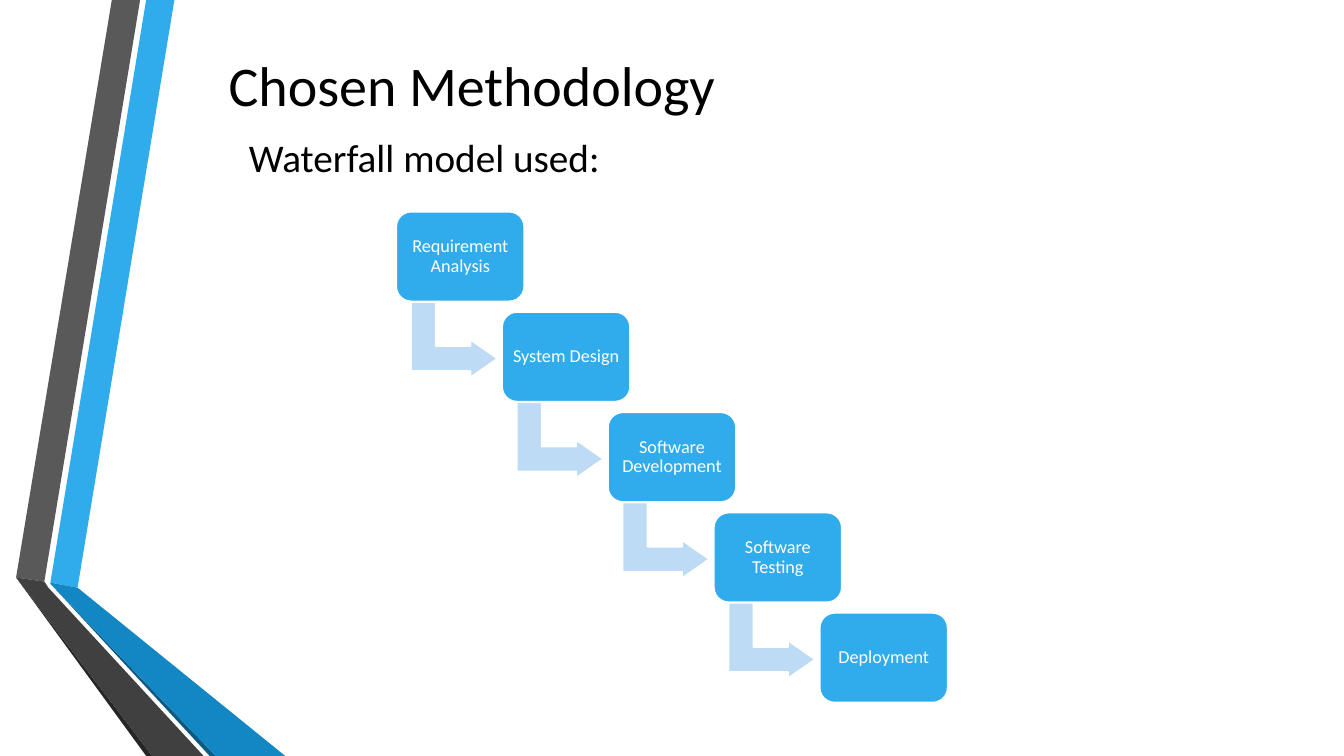
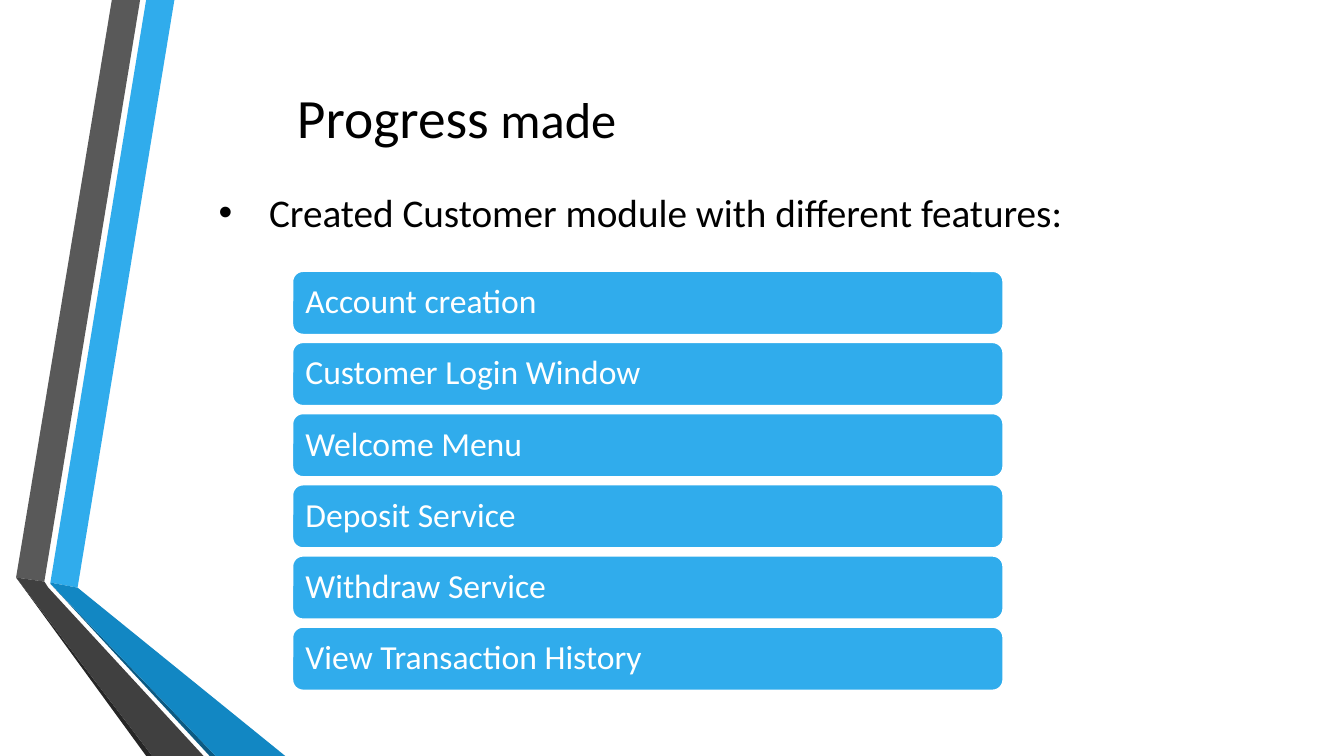
from lxml.etree import SubElement
from pptx import Presentation
from pptx.dml.color import RGBColor
from pptx.enum.shapes import MSO_SHAPE
from pptx.enum.text import MSO_ANCHOR, PP_ALIGN
from pptx.oxml.ns import qn
from pptx.util import Inches, Pt

FONT = "Calibri"
BLACK, WHITE = "000000", "FFFFFF"
BLUE, PALE_BLUE = "30ACEC", "BEDBF6"

# Folded ribbons on the left edge: colour and outline in inches
RIBBONS = [
    (BLUE, [(0.5, 5.78), (0.77, 5.83), (1.73, 0), (1.45, 0)]),
    ("595959", [(1.39, 0), (1.11, 0), (0.16, 5.73), (0.44, 5.77)]),
    ("262626", [(0.16, 5.73), (1.45, 7.5), (1.51, 7.5)]),
    ("0C5A82", [(0.5, 5.79), (2.08, 7.5), (2.14, 7.5)]),
    ("1287C3", [(0.5, 5.79), (2.14, 7.5), (2.83, 7.5), (0.77, 5.83), (0.5, 5.78)]),
    ("404040", [(2.02, 7.5), (0.48, 5.83), (0.44, 5.77), (0.16, 5.73), (1.51, 7.5)]),
]


def colour(hex_code):
    return RGBColor.from_string(hex_code)


def paint(shape, fill, outline=None):
    shape.shadow.inherit = False
    shape.fill.solid()
    shape.fill.fore_color.rgb = colour(fill)
    if outline:
        shape.line.color.rgb = colour(outline)
        shape.line.width = Pt(1.25)
    else:
        shape.line.fill.background()


def write(shape, *runs, size=28, ink=BLACK, align=PP_ALIGN.LEFT,
          anchor=MSO_ANCHOR.TOP, inset=None, spacing=None, bullet=None):
    """Fill a shape with one paragraph; a run is text or (text, size)."""
    frame = shape.text_frame
    frame.word_wrap = True
    frame.vertical_anchor = anchor
    if inset is not None:
        frame.margin_left = frame.margin_right = Inches(inset)
        frame.margin_top = frame.margin_bottom = Inches(inset)
    paragraph = frame.paragraphs[0]
    paragraph.alignment = align
    if spacing:
        paragraph.line_spacing = spacing
    if bullet:
        properties = paragraph._p.get_or_add_pPr()
        properties.set("marL", str(Inches(0.5)))
        properties.set("indent", str(-Inches(0.5)))
        SubElement(properties, qn("a:buFont")).set("typeface", "Arial")
        SubElement(properties, qn("a:buChar")).set("char", bullet)
    for item in runs:
        text, points = (item, size) if isinstance(item, str) else item
        run = paragraph.add_run()
        run.text = text
        run.font.name = FONT
        run.font.size = Pt(points)
        run.font.color.rgb = colour(ink)


def add_text(slide, box, *runs, **style):
    write(slide.shapes.add_textbox(*map(Inches, box)), *runs, **style)


def add_title(slide, box, *runs, **style):
    add_text(slide, box, *runs, align=PP_ALIGN.CENTER,
             anchor=MSO_ANCHOR.MIDDLE, **style)


def add_card(slide, box, label, **style):
    card = slide.shapes.add_shape(MSO_SHAPE.ROUNDED_RECTANGLE, *map(Inches, box))
    paint(card, BLUE, WHITE)
    write(card, label, ink=WHITE, anchor=MSO_ANCHOR.MIDDLE, spacing=0.9, **style)


def add_ribbons(slide):
    for fill, outline in RIBBONS:
        points = [(Inches(x), Inches(y)) for x, y in outline]
        builder = slide.shapes.build_freeform(*points[0])
        builder.add_line_segments(points[1:], close=True)
        paint(builder.convert_to_shape(), fill)


def add_waterfall(slide, box, steps):
    """Stairs of cards from the top left to the bottom right of the box."""
    left, top, width, height = box
    card_width, card_height = 1.27, 0.89
    across = (width - card_width) / (len(steps) - 1)
    down = (height - card_height) / (len(steps) - 1)
    for index, step in enumerate(steps):
        x, y = left + index * across, top + index * down
        if index < len(steps) - 1:
            arrow = slide.shapes.add_shape(
                MSO_SHAPE.BENT_UP_ARROW, Inches(x + 0.2), Inches(y + 0.84),
                Inches(0.75), Inches(0.86))
            arrow.rotation = 90
            for position, value in enumerate((0.33, 0.25, 0.36)):
                arrow.adjustments[position] = value
            paint(arrow, PALE_BLUE, WHITE)
        add_card(slide, (x, y, card_width, card_height), step,
                 size=13, align=PP_ALIGN.CENTER, inset=0.04)


def add_feature_bars(slide, box, features):
    """Equal bars spread over the height of the box."""
    left, top, width, height = box
    bar_height = 0.63
    pitch = (height - bar_height) / (len(features) - 1)
    for index, feature in enumerate(features):
        add_card(slide, (left, top + index * pitch, width, bar_height),
                 feature, size=24, inset=0.1)


def new_slide(deck):
    slide = deck.slides.add_slide(deck.slide_layouts[6])
    add_ribbons(slide)
    return slide


def methodology_slide(deck):
    slide = new_slide(deck)
    add_title(slide, (1.08, 0.17, 7.2, 1.33), "Chosen Methodology", size=40)
    add_waterfall(slide, (3.93, 2.1, 5.47, 4.87), [
        "Requirement Analysis", "System Design", "Software Development",
        "Software Testing", "Deployment"])
    add_text(slide, (2.37, 1.27, 4.3, 1.04), "Waterfall model used:")


def progress_slide(deck):
    slide = new_slide(deck)
    add_title(slide, (1.76, 0.75, 5.54, 0.81), ("Progress", 39.6), (" made", 36))
    add_text(slide, (2.07, 1.82, 9.19, 0.6),
             "Created Customer module with different features:", bullet="•")
    add_feature_bars(slide, (2.9, 2.69, 7.05, 4.16), [
        "Account creation", "Customer Login Window", "Welcome Menu",
        "Deposit Service", "Withdraw Service", "View Transaction History"])


def main():
    deck = Presentation()
    deck.slide_width, deck.slide_height = Inches(13.33), Inches(7.5)
    methodology_slide(deck)
    progress_slide(deck)
    deck.save("out.pptx")


if __name__ == "__main__":
    main()
